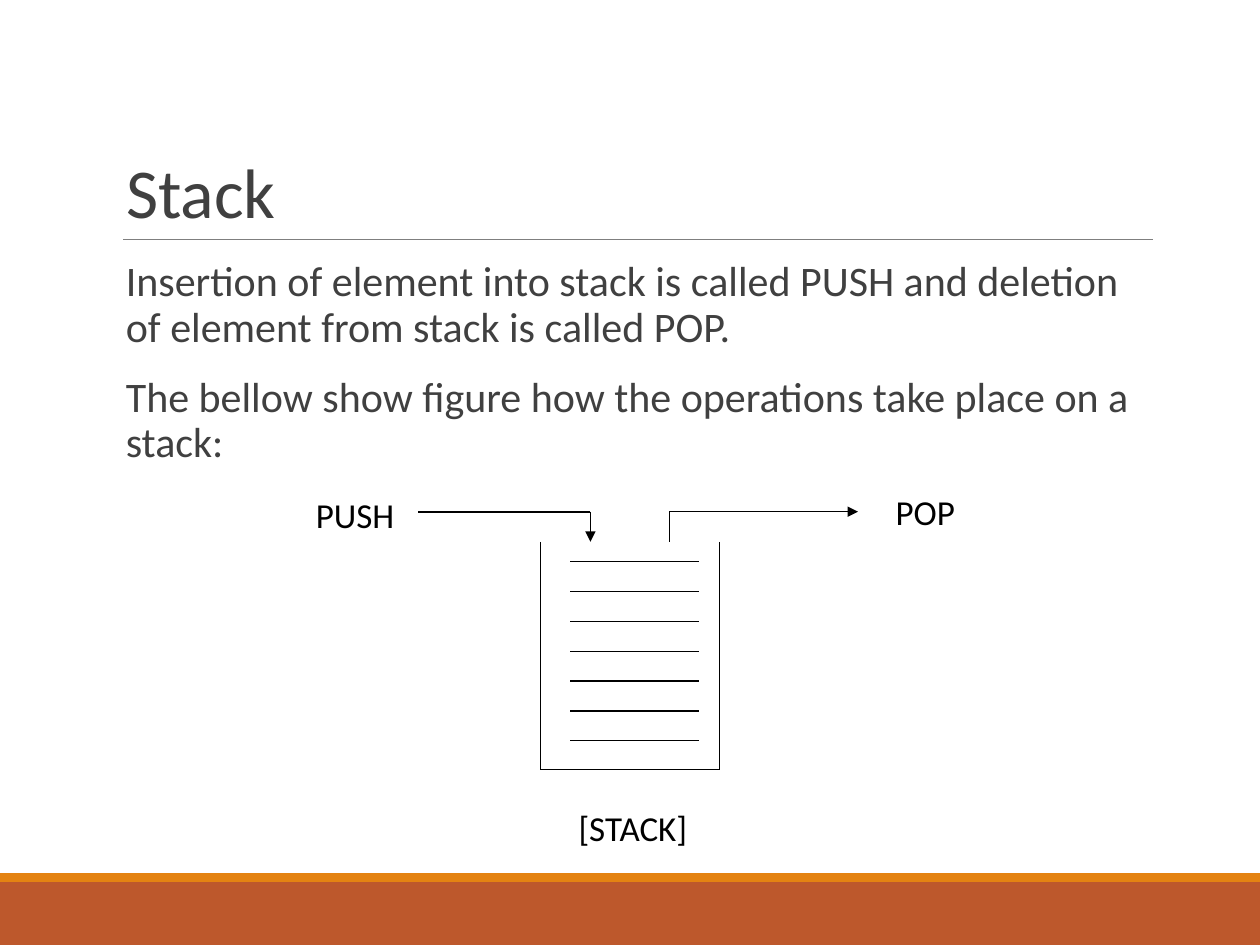
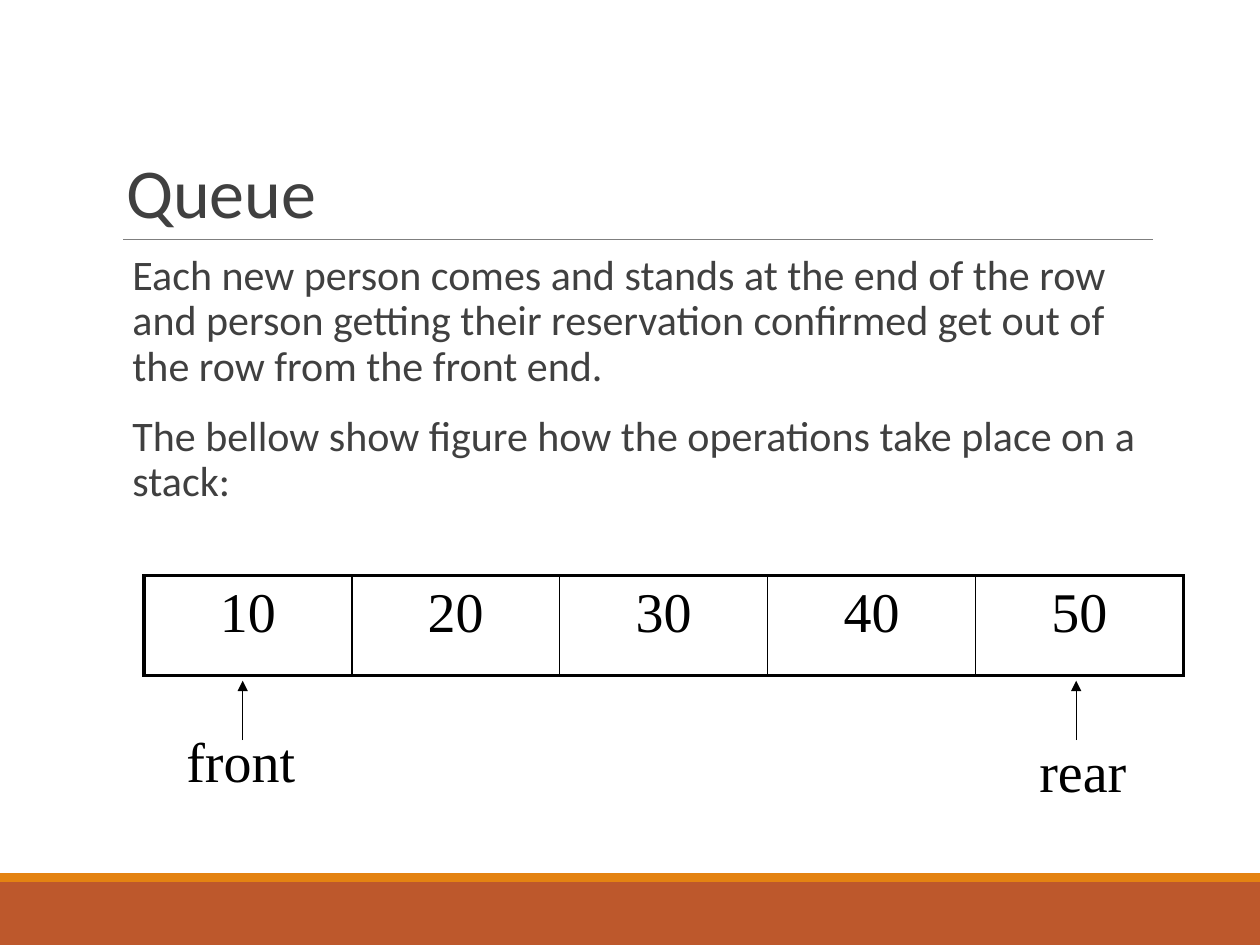
from dataclasses import dataclass

from lxml.etree import SubElement
from pptx import Presentation
from pptx.dml.color import RGBColor
from pptx.enum.shapes import MSO_CONNECTOR as Connector, MSO_SHAPE as Preset
from pptx.enum.text import MSO_ANCHOR as Anchor, MSO_AUTO_SIZE as AutoSize, PP_ALIGN as Align
from pptx.oxml.ns import qn
from pptx.slide import Slide
from pptx.table import _Cell as Cell
from pptx.text.text import TextFrame, _Paragraph as Paragraph
from pptx.util import Pt

SLIDE_WIDTH, SLIDE_HEIGHT = 720, 540
SANS, SERIF = "Calibri", "Times New Roman"
BLACK, TEXT_GREY, RULE_GREY = "000000", "404040", "7F7F7F"
RUST, ORANGE = "BD582C", "E48312"
TITLE_ONLY = 5


@dataclass(frozen=True)
class Box:
    left: float
    top: float
    width: float
    height: float

    def lengths(self) -> tuple[Pt, Pt, Pt, Pt]:
        return Pt(self.left), Pt(self.top), Pt(self.width), Pt(self.height)


@dataclass(frozen=True)
class Line:
    x1: float
    y1: float
    x2: float
    y2: float
    weight: float = 0.75
    arrow: bool = False
    color: str = BLACK


@dataclass(frozen=True)
class Label:
    text: str
    box: Box
    size: float
    font: str


@dataclass(frozen=True)
class Band:
    box: Box
    color: str


TITLE_BOX = Box(64.8, 22.3, 594, 114.5)
TITLE_RULE = Line(70.5, 136.8, 658.8, 136.8, color=RULE_GREY)
FOOTER_BANDS = (
    Band(Box(0, 504, SLIDE_WIDTH, 36), RUST),
    Band(Box(0, 499, SLIDE_WIDTH, 5), ORANGE),
)


def rgb(value: str) -> RGBColor:
    return RGBColor.from_string(value)


def add_run(paragraph: Paragraph, text: str, size: float, font: str, color: str) -> None:
    run = paragraph.add_run()
    run.text = text
    run.font.size = Pt(size)
    run.font.name = font
    run.font.color.rgb = rgb(color)


def set_up_frame(frame: TextFrame, anchor: Anchor = Anchor.TOP, side_margin: float = 7.2) -> None:
    frame.word_wrap = True
    frame.auto_size = AutoSize.NONE
    frame.vertical_anchor = anchor
    frame.margin_left = frame.margin_right = Pt(side_margin)
    frame.margin_top = frame.margin_bottom = Pt(3.6)


def add_line(slide: Slide, line: Line) -> None:
    ends = (Pt(v) for v in (line.x1, line.y1, line.x2, line.y2))
    connector = slide.shapes.add_connector(Connector.STRAIGHT, *ends)
    connector.line.width = Pt(line.weight)
    connector.line.color.rgb = rgb(line.color)
    if line.arrow:
        SubElement(connector.line._get_or_add_ln(), qn("a:tailEnd"), type="triangle")
    SubElement(connector._element.spPr, qn("a:effectLst"))


def add_label(slide: Slide, label: Label) -> None:
    frame = slide.shapes.add_textbox(*label.box.lengths()).text_frame
    set_up_frame(frame)
    add_run(frame.paragraphs[0], label.text, label.size, label.font, BLACK)


def add_band(slide: Slide, band: Band) -> None:
    shape = slide.shapes.add_shape(Preset.RECTANGLE, *band.box.lengths())
    shape.shadow.inherit = False
    shape.fill.solid()
    shape.fill.fore_color.rgb = rgb(band.color)
    shape.line.fill.background()


def add_titled_slide(deck: Presentation, title: str) -> Slide:
    """Add a slide with the shared footer bands, title and title rule."""
    slide = deck.slides.add_slide(deck.slide_layouts[TITLE_ONLY])
    for band in FOOTER_BANDS:
        add_band(slide, band)
    add_line(slide, TITLE_RULE)
    heading = slide.shapes.title
    heading.left, heading.top, heading.width, heading.height = TITLE_BOX.lengths()
    set_up_frame(heading.text_frame, Anchor.BOTTOM)
    paragraph = heading.text_frame.paragraphs[0]
    paragraph.alignment = Align.LEFT
    paragraph.line_spacing = 0.85
    add_run(paragraph, title, 40, SANS, TEXT_GREY)
    return slide


def add_body(slide: Slide, box: Box, texts: tuple[str, ...]) -> None:
    frame = slide.shapes.add_textbox(*box.lengths()).text_frame
    set_up_frame(frame)
    frame.margin_right = 0
    for index, text in enumerate(texts):
        paragraph = frame.add_paragraph() if index else frame.paragraphs[0]
        paragraph.line_spacing = 0.9
        paragraph.space_before = Pt(14 if index else 0)
        add_run(paragraph, text, 24, SANS, TEXT_GREY)


def set_borders(cell: Cell, weights: dict[str, float]) -> None:
    """Draw solid black borders; they must precede the cell's fill."""
    properties = cell._tc.get_or_add_tcPr()
    for side, weight in weights.items():
        border = SubElement(properties, qn(f"a:ln{side}"), w=str(Pt(weight)))
        fill = SubElement(border, qn("a:solidFill"))
        SubElement(fill, qn("a:srgbClr"), val=BLACK)


def add_queue_table(slide: Slide, box: Box, values: tuple[str, ...]) -> None:
    outer, inner = 2.25, 1
    last = len(values) - 1
    table = slide.shapes.add_table(1, len(values), *box.lengths()).table
    table.first_row = table.horz_banding = False
    table.rows[0].height = Pt(box.height)
    for index, value in enumerate(values):
        table.columns[index].width = Pt(box.width / len(values))
        cell = table.cell(0, index)
        set_borders(cell, {
            "L": outer if index == 0 else inner,
            "R": outer if index == last else inner,
            "T": outer,
            "B": outer,
        })
        cell.fill.background()
        cell.vertical_anchor = Anchor.TOP
        cell.margin_left = cell.margin_right = Pt(13.7)
        cell.margin_top = cell.margin_bottom = Pt(3.6)
        paragraph = cell.text_frame.paragraphs[0]
        paragraph.alignment = Align.CENTER
        add_run(paragraph, value, 32, SERIF, BLACK)


def build_stack_slide(deck: Presentation) -> None:
    slide = add_titled_slide(deck, "Stack")
    add_body(slide, Box(64.8, 145.4, 594, 139), (
        "Insertion of element into stack is called PUSH and deletion of element "
        "from stack is called POP.",
        "The bellow show figure how the operations take place on a stack:",
    ))

    left, right, rim, floor = 308.9, 411.1, 309.6, 439.9
    container = [
        Line(left, rim, left, floor),
        Line(right, rim, right, floor),
        Line(left, floor, right, floor),
    ]
    first_element, element_gap = 321, 17.05
    levels = [first_element + i * element_gap for i in range(7)]
    elements = [Line(326, y, 399.6, y) for y in levels]
    flow, push_x, pop_x = 292.4, 337.4, 382.4
    pop_path = [Line(pop_x, rim, pop_x, flow), Line(pop_x, flow, 490.3, flow, arrow=True)]
    push_path = [
        Line(239, flow, push_x, flow, 1),
        Line(push_x, flow, push_x, rim, 1, arrow=True),
    ]
    for line in container + elements + pop_path + push_path:
        add_line(slide, line)

    for label in (
        Label("PUSH", Box(173.4, 278.2, 113, 31.5), 20, SANS),
        Label("POP", Box(504.7, 277, 96.5, 31.5), 20, SANS),
        Label("[STACK]", Box(323.5, 457.4, 181.5, 31.5), 20, SANS),
    ):
        add_label(slide, label)


def build_queue_slide(deck: Presentation) -> None:
    slide = add_titled_slide(deck, "Queue")
    add_queue_table(slide, Box(82.2, 329, 594, 56.9), ("10", "20", "30", "40", "50"))
    add_body(slide, Box(68.6, 141.8, 589.7, 252.7), (
        "Each new person comes and stands at the end of the row and person getting "
        "their reservation confirmed get out of the row from the front end.",
        "The bellow show figure how the operations take place on a stack:",
    ))
    for pointer_x in (138.7, 615):
        add_line(slide, Line(pointer_x, 423, pointer_x, 389, arrow=True))
    add_label(slide, Label("front", Box(99.4, 411.8, 79.2, 45.4), 32, SERIF))
    add_label(slide, Label("rear", Box(586.8, 417.6, 67.7, 45.4), 32, SERIF))


def main() -> None:
    deck = Presentation()
    deck.slide_width, deck.slide_height = Pt(SLIDE_WIDTH), Pt(SLIDE_HEIGHT)
    build_stack_slide(deck)
    build_queue_slide(deck)
    deck.save("out.pptx")


if __name__ == "__main__":
    main()
